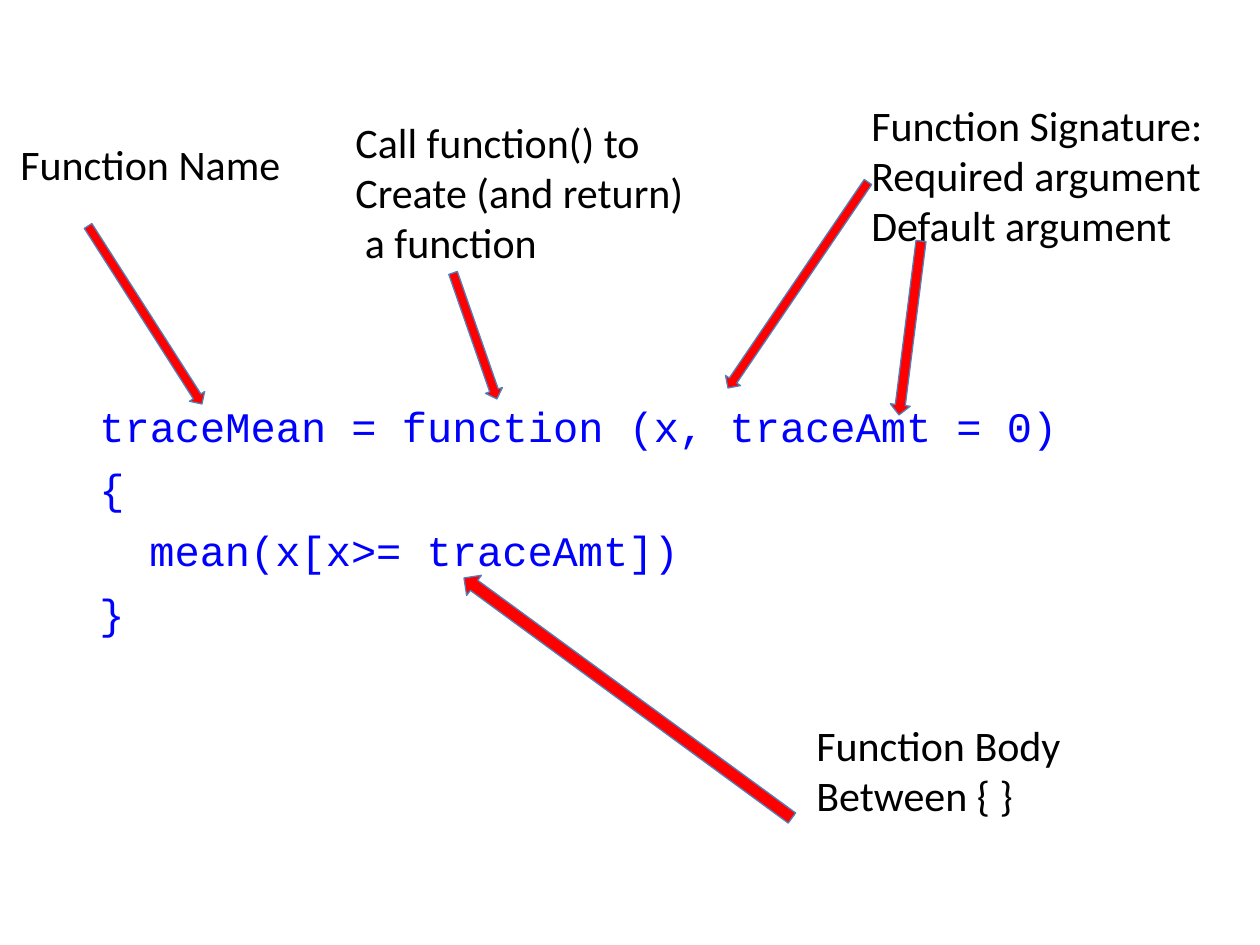
from math import atan2, degrees, hypot

from pptx import Presentation
from pptx.dml.color import RGBColor
from pptx.enum.shapes import MSO_SHAPE
from pptx.enum.text import MSO_AUTO_SIZE
from pptx.util import Pt

EMU_PER_PIXEL = 914400 // 126
COLORS = {"code": "0000FF", "label": "000000", "arrow": "FF0000", "outline": "4F81BD"}
CODE_FORMAT = {"name": "Courier New", "size": Pt(24)}
LABEL_FORMAT = {"name": "Calibri", "size": Pt(24)}
CODE_SPACING = Pt(6.8)
CODE_INDENT = 50


def px(pixels):
    """Turn pixels into EMU."""
    return round(pixels * EMU_PER_PIXEL)


def add_text(box, lines, font_format, color, wrap):
    """Add a text box with one paragraph per line and return its paragraphs."""
    frame = slide.shapes.add_textbox(*map(px, box)).text_frame
    frame.word_wrap = wrap
    frame.auto_size = MSO_AUTO_SIZE.NONE
    frame.text = "\n".join(lines)
    for paragraph in frame.paragraphs:
        font = paragraph.runs[0].font
        for attribute, value in font_format.items():
            setattr(font, attribute, value)
        font.color.rgb = RGBColor.from_string(COLORS[color])
    return frame.paragraphs


presentation = Presentation()
presentation.slide_width, presentation.slide_height = px(1260), px(945)
slide = presentation.slides.add_slide(presentation.slide_layouts[6])

code_lines = ["traceMean = function (x, traceAmt = 0)", "{", "mean(x[x>= traceAmt])", "}"]
code = add_text((87, 394, 1111, 240), code_lines, CODE_FORMAT, "code", True)
for paragraph in code[1:]:
    paragraph.space_before = CODE_SPACING
code[2]._p.get_or_add_pPr().set("marL", str(px(CODE_INDENT)))

labels = [
    ((8, 132, 290, 63), ["Function Name"], False),
    ((343, 110, 357, 165), ["Call function() to", "Create (and return)", " a function"], False),
    ((859, 93, 399, 165),
     ["Function Signature:", "Required argument", "Default argument"], True),
    ((804, 713, 275, 115), ["Function Body", "Between { }"], False),
]
for box, lines, wrap in labels:
    add_text(box, lines, LABEL_FORMAT, "label", wrap)

# Tail point, tip point and thickness of each arrow
arrows = [
    ((453, 273), (497, 399), 18),
    ((88, 226), (202, 404), 18),
    ((792, 818), (464, 578), 25),
    ((921, 241), (899, 415), 20),
    ((868, 182), (728, 388), 18),
]
for (tail_x, tail_y), (tip_x, tip_y), thickness in arrows:
    length = hypot(tip_x - tail_x, tip_y - tail_y)
    left = (tail_x + tip_x - length) / 2
    top = (tail_y + tip_y - thickness) / 2
    arrow = slide.shapes.add_shape(
        MSO_SHAPE.RIGHT_ARROW, px(left), px(top), px(length), px(thickness))
    arrow.rotation = round(degrees(atan2(tip_y - tail_y, tip_x - tail_x)), 1) % 360
    arrow.shadow.inherit = False
    arrow.fill.solid()
    arrow.fill.fore_color.rgb = RGBColor.from_string(COLORS["arrow"])
    arrow.line.color.rgb = RGBColor.from_string(COLORS["outline"])
    arrow.line.width = Pt(0.75)

presentation.save("out.pptx")
